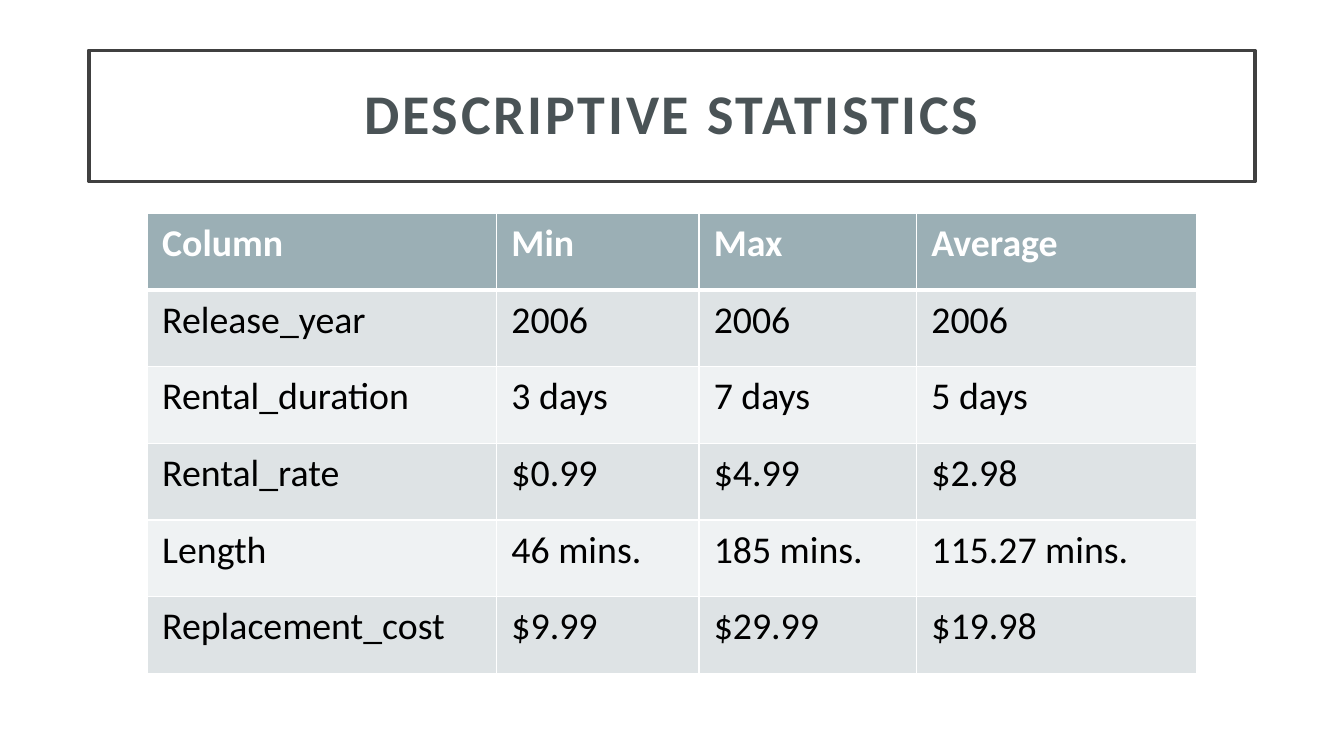
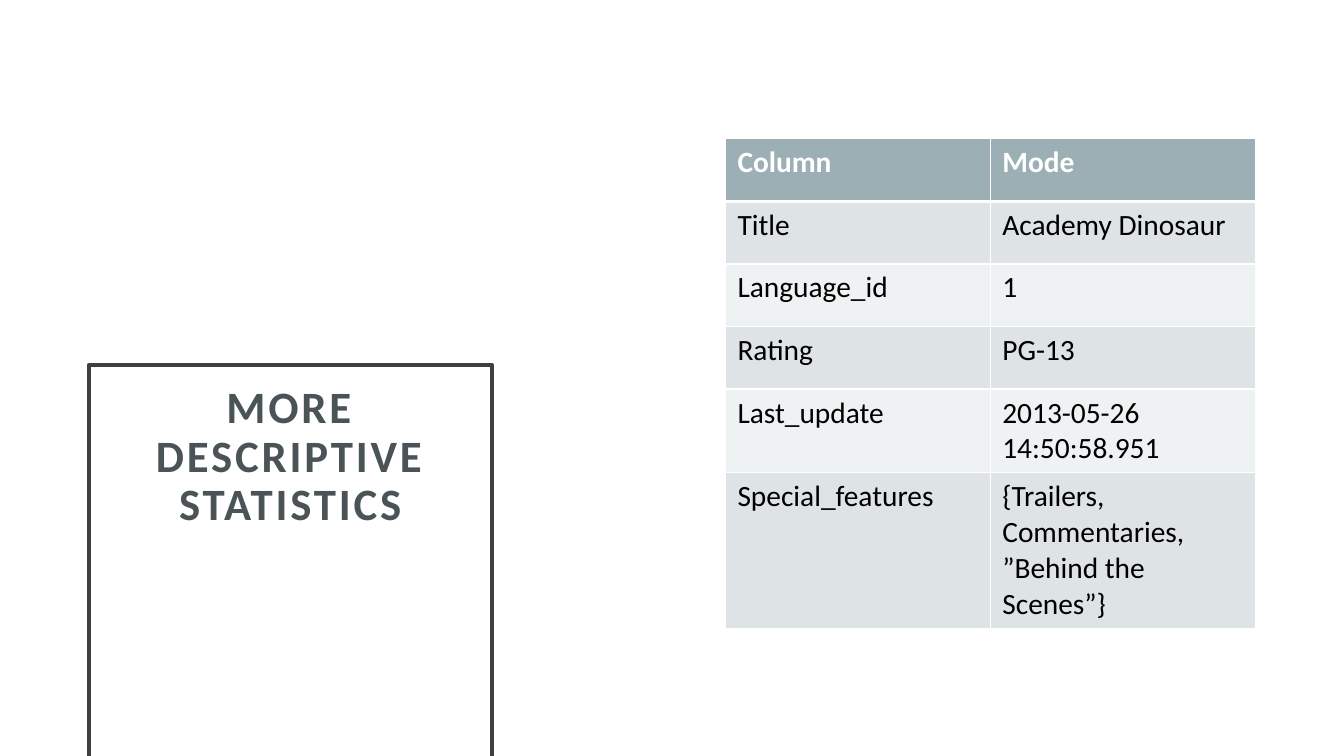
"""Build two slides of descriptive statistics, each a framed title and a table."""
from dataclasses import dataclass

from lxml import etree
from pptx import Presentation
from pptx import util as u
from pptx.dml import color
from pptx.enum import text
from pptx.oxml import ns


@dataclass(frozen=True)
class Theme:
    """Colours, typeface and type sizes shared by the slides."""
    font: str = "Calibri"
    title_color: str = "4A5356"
    frame: str = "404040"
    white: str = "FFFFFF"
    black: str = "000000"
    header: str = "9BAFB5"
    bands: tuple = ("DEE3E5", "EFF2F3")
    title_large: int = 40
    title_small: int = 32
    table_large: int = 27
    table_small: int = 21


THEME = Theme()
TITLE_ONLY = 5

RANGES = [
    ("Column", "Min", "Max", "Average"),
    ("Release_year", "2006", "2006", "2006"),
    ("Rental_duration", "3 days", "7 days", "5 days"),
    ("Rental_rate", "$0.99", "$4.99", "$2.98"),
    ("Length", "46 mins.", "185 mins.", "115.27 mins."),
    ("Replacement_cost", "$9.99", "$29.99", "$19.98"),
]
MODES = [
    ("Column", "Mode"),
    ("Title", "Academy Dinosaur"),
    ("Language_id", "1"),
    ("Rating", "PG-13"),
    ("Last_update", "2013-05-26 14:50:58.951"),
    ("Special_features", "{Trailers, Commentaries, ”Behind the Scenes”}"),
]


def rgb(value):
    """Turn a hex string into a colour."""
    return color.RGBColor.from_string(value)


def paint(fill, value):
    """Give a fill one solid colour."""
    fill.solid()
    fill.fore_color.rgb = rgb(value)


def write(frame, words, *, size, ink, bold=False, align=text.PP_ALIGN.LEFT,
          line_spacing=1.0, tracking=0):
    """Write one formatted paragraph into a text frame."""
    paragraph = frame.paragraphs[0]
    paragraph.alignment = align
    paragraph.line_spacing = line_spacing
    run = paragraph.add_run()
    run.text = words
    run.font.name = THEME.font
    run.font.size = u.Pt(size)
    run.font.bold = bold
    run.font.color.rgb = rgb(ink)
    if tracking:
        run.font._element.set("spc", str(tracking * 100))


def add_title(slide, words, box, size, anchor):
    """Place the title placeholder as a framed heading."""
    title = slide.shapes.title
    title.left, title.top, title.width, title.height = map(u.Pt, box)
    paint(title.fill, THEME.white)
    title.line.color.rgb = rgb(THEME.frame)
    title.line.width = u.Pt(2.5)
    frame = title.text_frame
    frame.word_wrap = True
    frame.auto_size = text.MSO_AUTO_SIZE.NONE
    frame.vertical_anchor = anchor
    frame.margin_left = frame.margin_right = u.Pt(14.4)
    frame.margin_top = frame.margin_bottom = u.Pt(14.4)
    write(frame, words, size=size, ink=THEME.title_color, bold=True,
          align=text.PP_ALIGN.CENTER, line_spacing=0.9, tracking=2)


def add_borders(cell, top, bottom):
    """Draw white borders, with the given top and bottom weights."""
    properties = cell._tc.get_or_add_tcPr()
    for side, weight in (("L", 1), ("R", 1), ("T", top), ("B", bottom)):
        line = etree.SubElement(properties, ns.qn(f"a:ln{side}"),
                                w=str(u.Pt(weight)))
        fill = etree.SubElement(line, ns.qn("a:solidFill"))
        etree.SubElement(fill, ns.qn("a:srgbClr"), val=THEME.white)


def add_table(slide, rows, origin, widths, heights, size, margins):
    """Add a table with a dark header row and alternating bands."""
    shape = slide.shapes.add_table(len(rows), len(widths), *map(u.Pt, origin),
                                   u.Pt(sum(widths)), u.Pt(sum(heights)))
    table = shape.table
    for column, width in zip(table.columns, widths):
        column.width = u.Pt(width)
    for row, height in zip(table.rows, heights):
        row.height = u.Pt(height)
    side, edge = map(u.Pt, margins)
    for index, values in enumerate(rows):
        is_header = index == 0
        for cell, words in zip(table.rows[index].cells, values):
            add_borders(cell, 3 if index == 1 else 1, 3 if is_header else 1)
            paint(cell.fill, THEME.header if is_header
                  else THEME.bands[(index - 1) % 2])
            cell.margin_left = cell.margin_right = side
            cell.margin_top = cell.margin_bottom = edge
            write(cell.text_frame, words, size=size, bold=is_header,
                  ink=THEME.white if is_header else THEME.black)


def main():
    """Build and save the presentation."""
    presentation = Presentation()
    presentation.slide_width, presentation.slide_height = u.Pt(960), u.Pt(540)
    layout = presentation.slide_layouts[TITLE_ONLY]

    slide = presentation.slides.add_slide(layout)
    add_title(slide, "DESCRIPTIVE STATISTICS", (63.4, 36, 833, 93.6),
              THEME.title_large, text.MSO_ANCHOR.MIDDLE)
    add_table(slide, RANGES, (105.3, 152.2), (249.5, 144.5, 155.5, 200),
              [54.8] * 6, THEME.table_large, (10.6, 5.3))

    slide = presentation.slides.add_slide(layout)
    add_title(slide, "MORE DESCRIPTIVE STATISTICS", (63.4, 260.6, 288, 438.5),
              THEME.title_small, text.MSO_ANCHOR.TOP)
    add_table(slide, MODES, (518.4, 99.2), [189.2] * 2,
              [44.7] * 5 + [74.9], THEME.table_small, (8.4, 4.2))

    presentation.save("out.pptx")


if __name__ == "__main__":
    main()
